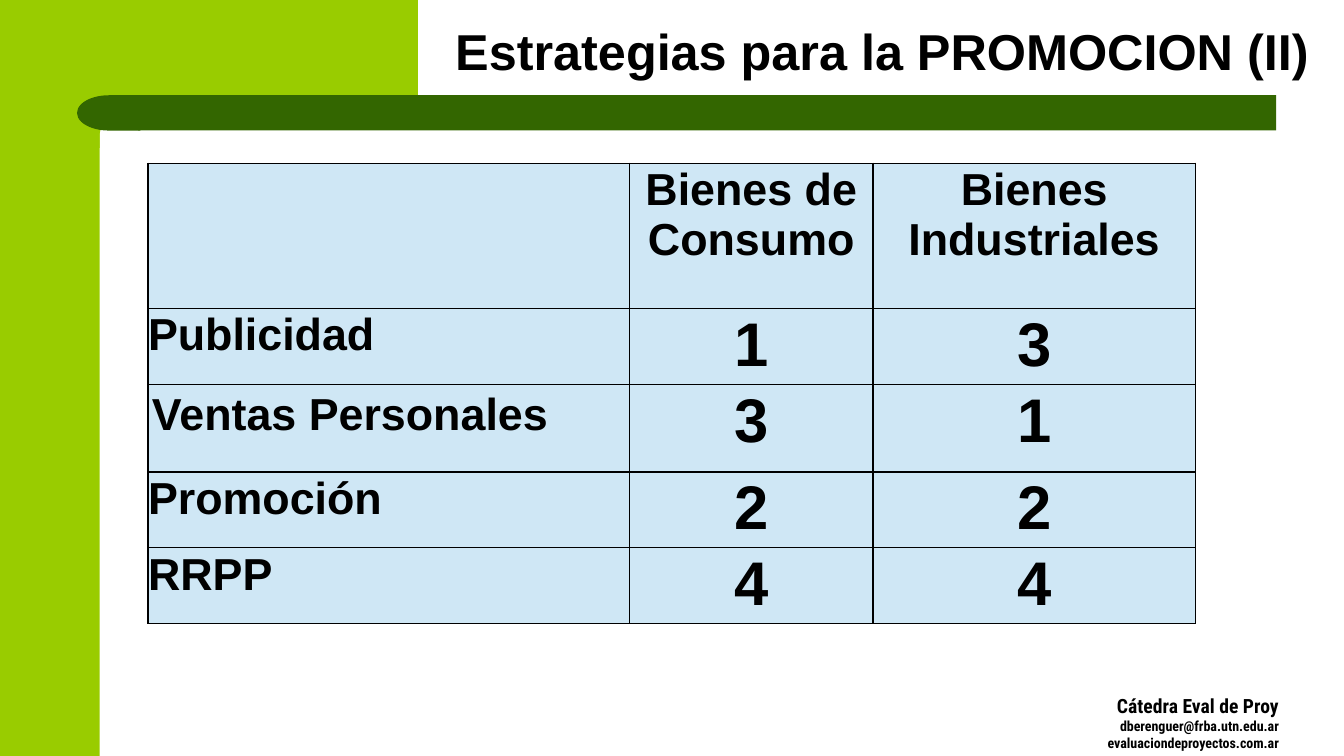
from lxml.etree import fromstring
from pptx import Presentation
from pptx.dml.color import RGBColor
from pptx.enum.shapes import MSO_SHAPE as Preset
from pptx.enum.text import MSO_ANCHOR as Anchor, PP_ALIGN as Align
from pptx.util import Cm, Pt

COLORS = {"lime": "99CC00", "green": "336600", "cell": "CFE7F5", "ink": "000000"}
DRAWING_NS = "http://schemas.openxmlformats.org/drawingml/2006/main"


def paint(shape, color):
    shape.shadow.inherit = False
    shape.fill.solid()
    shape.fill.fore_color.rgb = RGBColor.from_string(COLORS[color])
    shape.line.fill.background()


def write(paragraph, text, size, align, font="Arial"):
    paragraph.text = text
    paragraph.alignment = align
    paragraph.font.name = font
    paragraph.font.size = Pt(size)
    paragraph.font.bold = True
    paragraph.font.color.rgb = RGBColor.from_string(COLORS["ink"])


prs = Presentation()
prs.slide_width, prs.slide_height = Cm(33.87), Cm(19.05)
slide = prs.slides.add_slide(prs.slide_layouts[6])
shapes = slide.shapes

# Green frame: side band, top corner with a rounded inner edge, and title bar
side_band = shapes.add_shape(Preset.RECTANGLE, 0, 0, Cm(2.51), prs.slide_height)
paint(side_band, "lime")

corner_outline = [
    (10.53, 0), (10.53, 2.44), (3.35, 2.44), (3.12, 2.49), (2.79, 2.69),
    (2.59, 3.02), (2.51, 3.38), (2.51, 3.73), (1.5, 3.73), (1.5, 0),
]
corner_points = [(Cm(x), Cm(y)) for x, y in corner_outline]
builder = shapes.build_freeform(*corner_points[0])
builder.add_line_segments(corner_points[1:], close=True)
paint(builder.convert_to_shape(), "lime")

title_bar = shapes.add_shape(Preset.RECTANGLE, Cm(3.48), Cm(2.4), Cm(28.68), Cm(0.89))
paint(title_bar, "green")
bar_cap = shapes.add_shape(Preset.FLOWCHART_DELAY, Cm(1.94), Cm(2.4), Cm(1.6), Cm(0.89))
bar_cap.rotation = 180
paint(bar_cap, "green")

# Course credit
credit = shapes.add_textbox(Cm(26.82), Cm(17.37), Cm(5.66), Cm(1.68)).text_frame
credit.word_wrap = True
credit_lines = [
    ("Cátedra Eval de Proy", 14),
    ("dberenguer@frba.utn.edu.ar", 10),
    ("evaluaciondeproyectos.com.ar", 10),
]
for i, (text, size) in enumerate(credit_lines):
    paragraph = credit.add_paragraph() if i else credit.paragraphs[0]
    write(paragraph, text, size, Align.RIGHT, "Roboto Condensed")

# Title
title = shapes.add_textbox(Cm(10.59), 0, Cm(23.29), Cm(2.16)).text_frame
title.word_wrap = True
title.vertical_anchor = Anchor.BOTTOM
title.margin_bottom = Cm(0.1)
write(title.paragraphs[0], "Estrategias para la PROMOCION (II)", 36, Align.CENTER)
title.paragraphs[0].line_spacing = 0.9

# Ranking of promotion tools by kind of goods
ranking = [
    ("", "Bienes de Consumo", "Bienes Industriales"),
    ("Publicidad", "1", "3"),
    ("Ventas Personales", "3", "1"),
    ("Promoción", "2", "2"),
    ("RRPP", "4", "4"),
]
column_widths = [12.14, 6.13, 8.13]
row_heights = [3.66, 1.91, 2.21, 1.91, 1.91]
table = shapes.add_table(
    len(ranking), len(column_widths), Cm(3.73), Cm(4.11),
    Cm(sum(column_widths)), Cm(sum(row_heights)),
).table
table.first_row = table.horz_banding = False
for column, width in zip(table.columns, column_widths):
    column.width = Cm(width)

for r, (height, texts) in enumerate(zip(row_heights, ranking)):
    table.rows[r].height = Cm(height)
    for c, text in enumerate(texts):
        cell = table.cell(r, c)
        cell.fill.solid()
        cell.fill.fore_color.rgb = RGBColor.from_string(COLORS["cell"])
        padded = text == "Ventas Personales"
        cell.margin_left = cell.margin_right = cell.margin_bottom = Cm(0.1 if padded else 0)
        cell.margin_top = Cm(0.15 if padded else 0.05)
        if text:
            write(cell.text_frame.paragraphs[0], text, 44 if r and c else 32,
                  Align.CENTER if c else Align.LEFT)
        for i, side in enumerate(("lnL", "lnR", "lnT", "lnB")):
            border = fromstring(
                f'<a:{side} xmlns:a="{DRAWING_NS}" w="12700"><a:solidFill>'
                f'<a:srgbClr val="{COLORS["ink"]}"/></a:solidFill></a:{side}>'
            )
            cell._tc.get_or_add_tcPr().insert(i, border)

prs.save("out.pptx")
